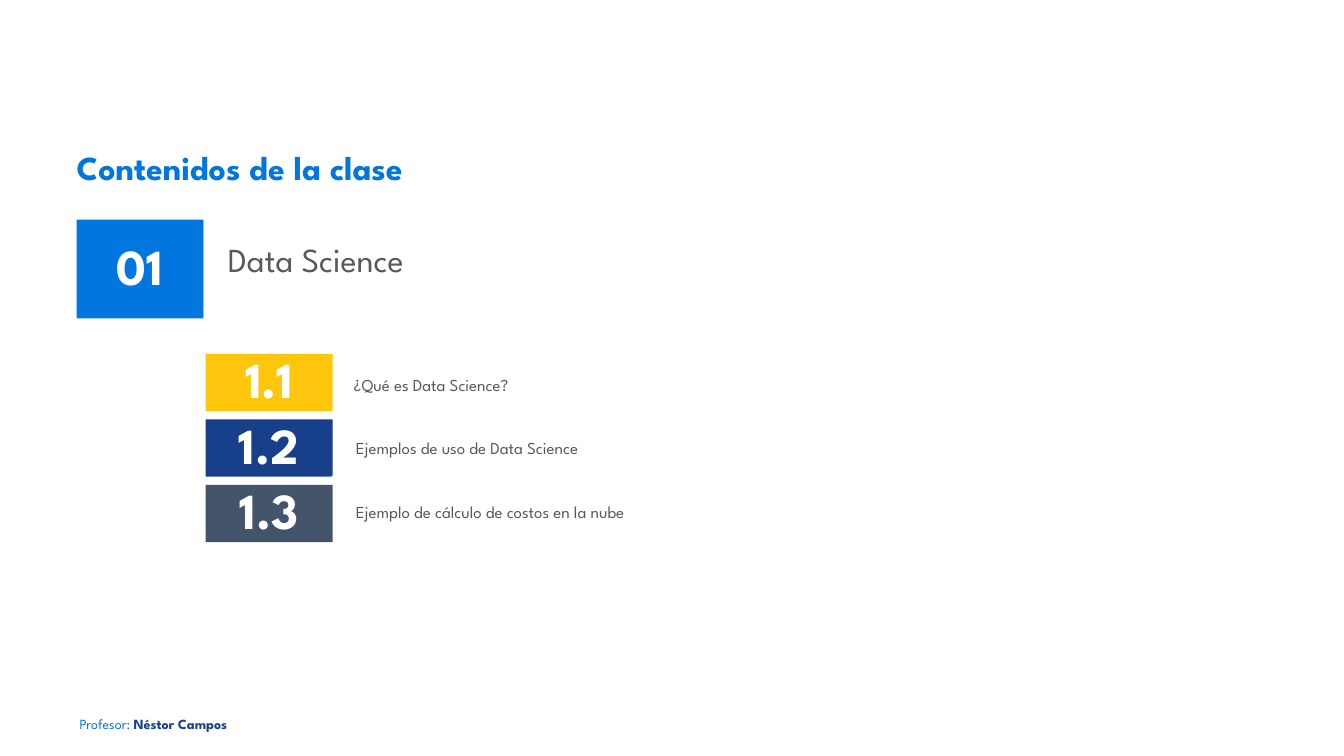
"""Build the class contents slide with its numbered section and topics."""
from dataclasses import dataclass

from pptx import Presentation
from pptx.dml.color import RGBColor
from pptx.enum.shapes import MSO_SHAPE
from pptx.enum.text import MSO_ANCHOR, PP_ALIGN
from pptx.util import Pt

RECTANGLE = MSO_SHAPE.RECTANGLE
TOP, MIDDLE = MSO_ANCHOR.TOP, MSO_ANCHOR.MIDDLE
LEFT, CENTER = PP_ALIGN.LEFT, PP_ALIGN.CENTER


@dataclass(frozen=True)
class Theme:
    font: str = "League Spartan"
    blue: str = "0176DE"
    navy: str = "173F8A"
    yellow: str = "FEC60D"
    slate: str = "44546A"
    gray: str = "595959"
    white: str = "FFFFFF"
    number_size: int = 36
    heading_size: int = 24
    topic_size: int = 12
    footer_size: int = 10


THEME = Theme()
EMU_PER_PX = 9144
SLIDE_SIZE = (1333, 750)

TITLE = "Contenidos de la clase"
SECTION = ("01", "Data Science")
TOPICS = [
    ("1.1", THEME.yellow, "¿Qué es Data Science?", (327, 346)),
    ("1.2", THEME.navy, "Ejemplos de uso de Data Science", (329, 408)),
    ("1.3", THEME.slate, "Ejemplo de cálculo de costos en la nube", (329, 472)),
]
FOOTER = [
    ("Profesor: ", THEME.blue, False),
    ("Néstor Campos", THEME.navy, True),
]

MARGIN = 76
SECTION_TOP, SECTION_HEIGHT = 218, 98
NUMBER_WIDTH, LABEL_WIDTH = 126, 1056
TOPIC_LEFT, TOPIC_TOP, TOPIC_PITCH = 204, 351, 65
TOPIC_NUMBER_HEIGHT = 57
TOPIC_LABEL_SIZE = (621, 73)
LABEL_INSET = 24


def px(length):
    return round(length * EMU_PER_PX)


def write_text(shape, runs, size, spacing, insets, anchor=MIDDLE, align=LEFT):
    frame = shape.text_frame
    frame.word_wrap = True
    frame.vertical_anchor = anchor
    frame.margin_left = frame.margin_right = px(insets[0])
    frame.margin_top = frame.margin_bottom = px(insets[1])
    paragraph = frame.paragraphs[0]
    paragraph.alignment = align
    paragraph.line_spacing = spacing
    for text, color, bold in runs:
        run = paragraph.add_run()
        run.text = text
        run.font.name = THEME.font
        run.font.size = Pt(size)
        run.font.bold = bold
        run.font.color.rgb = RGBColor.from_string(color)


def add_text(slide, box, runs, size, spacing):
    shape = slide.shapes.add_textbox(*map(px, box))
    write_text(shape, runs, size, Pt(spacing), (0, 0), TOP)


def add_block(slide, box, fill):
    shape = slide.shapes.add_shape(RECTANGLE, *map(px, box))
    shape.shadow.inherit = False
    shape.fill.solid()
    shape.fill.fore_color.rgb = RGBColor.from_string(fill)
    shape.line.fill.background()
    return shape


def add_number(slide, box, text, fill):
    shape = add_block(slide, box, fill)
    runs = [(text, THEME.white, True)]
    write_text(shape, runs, THEME.number_size, 0.9, (10, 5), align=CENTER)


def add_label(slide, box, text, size):
    shape = add_block(slide, box, THEME.white)
    runs = [(text, THEME.gray, False)]
    write_text(shape, runs, size, Pt(14), (LABEL_INSET, LABEL_INSET))


def main():
    presentation = Presentation()
    presentation.slide_width, presentation.slide_height = map(px, SLIDE_SIZE)
    slide = presentation.slides.add_slide(presentation.slide_layouts[6])

    add_text(slide, (79, 696, 200, 26), FOOTER, THEME.footer_size, 22)

    number, label = SECTION
    number_box = (MARGIN, SECTION_TOP, NUMBER_WIDTH, SECTION_HEIGHT)
    label_box = (MARGIN + NUMBER_WIDTH, SECTION_TOP, LABEL_WIDTH, SECTION_HEIGHT)
    add_number(slide, number_box, number, THEME.blue)
    add_label(slide, label_box, label, THEME.heading_size)

    title_runs = [(TITLE, THEME.blue, True)]
    add_text(slide, (MARGIN, 150, 1181, 68), title_runs, THEME.heading_size, 26)

    for index, (number, color, label, position) in enumerate(TOPICS):
        top = TOPIC_TOP + index * TOPIC_PITCH
        add_label(slide, position + TOPIC_LABEL_SIZE, label, THEME.topic_size)
        number_box = (TOPIC_LEFT, top, NUMBER_WIDTH, TOPIC_NUMBER_HEIGHT)
        add_number(slide, number_box, number, color)

    presentation.save("out.pptx")


if __name__ == "__main__":
    main()
